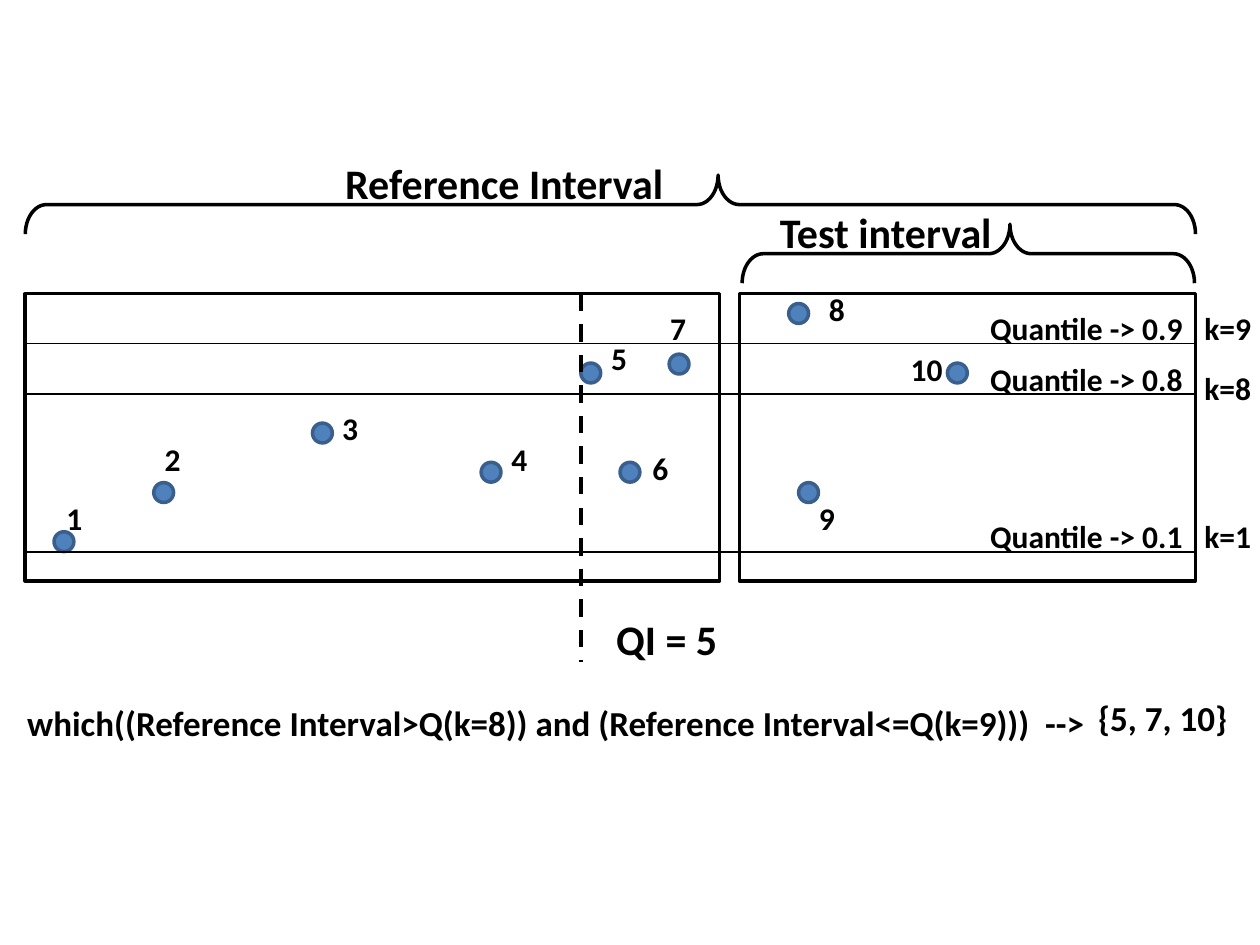
from pptx import Presentation
from pptx.dml.color import RGBColor
from pptx.enum.dml import MSO_LINE
from pptx.enum.shapes import MSO_CONNECTOR, MSO_SHAPE
from pptx.enum.text import MSO_AUTO_SIZE
from pptx.oxml.ns import qn
from pptx.util import Cm, Pt
from lxml import etree

RECTANGLE, OVAL, BRACE = MSO_SHAPE.RECTANGLE, MSO_SHAPE.OVAL, MSO_SHAPE.LEFT_BRACE
STRAIGHT, DASH = MSO_CONNECTOR.STRAIGHT, MSO_LINE.DASH
FIT_TEXT = MSO_AUTO_SIZE.SHAPE_TO_FIT_TEXT
BLACK = RGBColor(0x00, 0x00, 0x00)
DOT_FILL = RGBColor(0x4F, 0x81, 0xBD)
DOT_EDGE = RGBColor(0x3A, 0x5F, 0x8C)
FONT = "Calibri"
DOT_SIZE = 0.4

PANELS = [(14.4, 9.19), (0, 14)]
POINTS = [
    ("1", 0.58, 4.8, 0.58, 4.01),
    ("2", 2.59, 3.81, 2.56, 2.82),
    ("3", 5.79, 2.61, 6.14, 2.21),
    ("4", 9.19, 3.4, 9.55, 2.82),
    ("5", 11.2, 1.4, 11.56, 0.79),
    ("6", 11.99, 3.4, 12.39, 3),
    ("7", 12.98, 1.22, 12.75, 0.18),
    ("8", 15.39, 0.2, 15.95, -0.2),
    ("9", 15.59, 3.81, 15.75, 4.01),
    ("10", 18.59, 1.4, 17.6, 1.01),
]
QUANTILES = [
    ("0.9", "k=9", 1.01, 0.18, 0.18),
    ("0.8", "k=8", 2.02, 1.22, 1.4),
    ("0.1", "k=1", 5.21, 4.37, 4.37),
]


def add_text(page, text, left, top, width, size=18, color=BLACK, bold=True):
    """Add a one-line label whose height follows its font size."""
    height = size * 0.042 + 0.26
    box = page.shapes.add_textbox(Cm(left), Cm(top), Cm(width), Cm(height))
    box.text_frame.word_wrap = False
    box.text_frame.auto_size = FIT_TEXT
    span = box.text_frame.paragraphs[0].add_run()
    span.text = text
    span.font.name = FONT
    span.font.size = Pt(size)
    span.font.bold = bold
    span.font.color.rgb = color


def add_outline(page, kind, left, top, width, height, edge=BLACK, fill=None):
    """Add a preset shape with a 2 pt outline and an optional fill."""
    shape = page.shapes.add_shape(kind, Cm(left), Cm(top), Cm(width), Cm(height))
    shape.shadow.inherit = False
    shape.line.color.rgb = edge
    shape.line.width = Pt(2)
    if fill is None:
        shape.fill.background()
    else:
        shape.fill.solid()
        shape.fill.fore_color.rgb = fill
    return shape


def add_line(page, start, end, weight=0.75, dash=None):
    """Add a straight black line between two points."""
    line = page.shapes.add_connector(STRAIGHT, *map(Cm, start + end))
    line.line.color.rgb = BLACK
    line.line.width = Pt(weight)
    if dash is not None:
        line.line.dash_style = dash
    etree.SubElement(line._element.spPr, qn("a:effectLst"))


def add_interval(page, title, left, top, width, height, title_offset, title_width):
    """Draw an upward brace over the given box, with its title."""
    add_text(page, title, left + title_offset, top - 0.48, title_width, size=24)
    brace = add_outline(page, BRACE, left + (width - height) / 2,
                        top + (height - width) / 2, height, width)
    brace.rotation = 90
    brace.adjustments[0] = 0.359
    brace.adjustments[1] = 0.408


def add_plot(page, left, top, width, height):
    """Draw panels, numbered points, quantile lines and the QI mark."""
    for offset, panel_width in PANELS:
        add_outline(page, RECTANGLE, left + offset, top, panel_width, height)
    for _, x, y, _, _ in POINTS:
        add_outline(page, OVAL, left + x, top + y, DOT_SIZE, DOT_SIZE, DOT_EDGE, DOT_FILL)
    for level, rank, line_y, level_y, rank_y in QUANTILES:
        add_line(page, (left, top + line_y), (left + width, top + line_y))
        add_text(page, f"Quantile -> {level}", left + 19.2, top + level_y, 4.45)
        add_text(page, rank, left + 23.52, top + rank_y, 1.47)
    for number, _, _, x, y in POINTS:
        add_text(page, number, left + x, top + y, 0.5 + 0.33 * len(number))
    add_line(page, (left + 11.2, top), (left + 11.2, top + 7.42), 2.5, DASH)
    add_text(page, "QI = 5", left + 11.66, top + 6.32, 2.57, size=24)


def add_rule(page, left, top):
    """Write the selection rule and its result."""
    rule = "which((Reference Interval>Q(k=8)) and (Reference Interval<=Q(k=9)))  -->"
    add_text(page, rule, left, top, 22.05, size=20)
    add_text(page, "{5, 7, 10}", left + 21.59, top - 0.1, 3.12, size=20)


deck = Presentation()
deck.slide_width, deck.slide_height = Cm(25.4), Cm(19.05)
page = deck.slides.add_slide(deck.slide_layouts[6])
add_plot(page, 0.51, 5.92, 23.59, 5.79)
add_interval(page, "Reference Interval", 0.51, 3.53, 23.59, 1.19, 6.2, 6.99)
add_interval(page, "Test interval", 14.96, 4.52, 9.12, 1.19, 0.51, 4.83)
add_rule(page, 0.3, 14.02)
deck.save("out.pptx")
